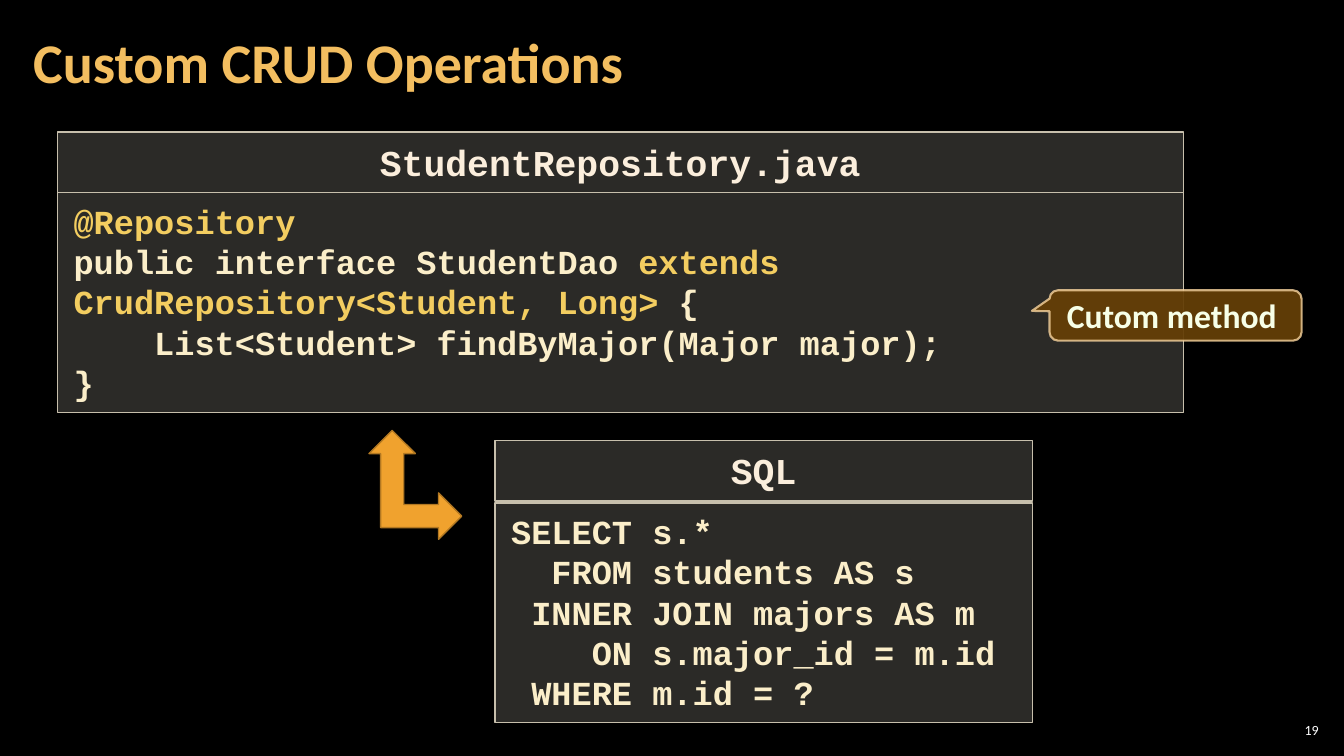
from pptx import Presentation
from pptx.dml.color import RGBColor
from pptx.enum.shapes import MSO_SHAPE
from pptx.enum.text import MSO_ANCHOR, PP_ALIGN
from pptx.oxml.ns import qn
from pptx.util import Inches, Pt
from lxml.etree import SubElement

HUES = {
    "back": "000000", "page": "FFFFFF", "title": "F3BE60",
    "panel": "D9D5C7", "edge": "C7BFAC", "head": "FBEEDC",
    "code": "FBEEC9", "key": "F3CD60",
    "note": "643F07", "rim": "F8D49E", "label": "F7FFE7",
    "arrow": "F0A22E", "trim": "B27822",
}
MONO, SANS = "Courier New", "Calibri"
TITLE = "Custom CRUD Operations"
NOTE = "Cutom method "
PAGE = "19"
CARDS = [
    {"at": (0.57, 1.31), "wide": 11.17, "body": 1.91,
     "head": "StudentRepository.java",
     "code": [
         (0, [("@Repository", "key")]),
         (0, [("public interface StudentDao ", "code"),
              ("extends CrudRepository<Student, Long> ", "key"),
              ("{", "code")]),
         (4, [("List<Student> findByMajor(Major major);", "code")]),
         (0, [("}", "code")]),
     ]},
    {"at": (4.91, 4.37), "wide": 5.33, "body": 4.99,
     "head": "SQL",
     "code": [
         (0, [("SELECT s.*", "code")]),
         (2, [("FROM students AS s", "code")]),
         (1, [("INNER JOIN majors AS m", "code")]),
         (4, [("ON s.major_id = m.id", "code")]),
         (1, [("WHERE m.id = ?", "code")]),
     ]},
]
HEAD, BODY = 0.6, 2.18
CHAR = 0.2


def rgb(hue):
    return RGBColor.from_string(HUES[hue])


def fade(fill, part):
    tint = fill._xPr.find(qn("a:solidFill"))[0]
    SubElement(tint, qn("a:alpha")).set("val", str(part * 1000))


def write(shape, rows, size, font, align, pad, anchor, pitch=1.0, bold=True):
    frame = shape.text_frame
    frame.word_wrap = True
    frame.vertical_anchor = anchor
    frame.margin_left = frame.margin_right = Inches(pad[0])
    frame.margin_top = frame.margin_bottom = Inches(pad[1])
    for num, (dent, runs) in enumerate(rows):
        para = frame.add_paragraph() if num else frame.paragraphs[0]
        para.alignment = align
        para.line_spacing = pitch
        if dent:
            para._p.get_or_add_pPr().set("marL", str(Inches(dent * CHAR)))
        for text, hue in runs:
            run = para.add_run()
            run.text = text
            run.font.size = Pt(size)
            run.font.name = font
            run.font.bold = bold
            run.font.color.rgb = rgb(hue)


def draw(kind, box, fill, line, width=1):
    shape = slide.shapes.add_shape(kind, *map(Inches, box))
    shape.shadow.inherit = False
    shape.fill.solid()
    shape.fill.fore_color.rgb = rgb(fill)
    shape.line.color.rgb = rgb(line)
    shape.line.width = Pt(width)
    return shape


def label(box, text, size, hue, align, pad, pitch=1.0, bold=True):
    shape = slide.shapes.add_textbox(*map(Inches, box))
    write(shape, [(0, [(text, hue)])], size, SANS, align, pad,
          MSO_ANCHOR.MIDDLE, pitch, bold)


def panel(box, rows, size, align):
    shape = draw(MSO_SHAPE.RECTANGLE, box, "panel", "edge")
    fade(shape.fill, 20)
    write(shape, rows, size, MONO, align, (0.16, 0.08), MSO_ANCHOR.TOP)


deck = Presentation()
deck.slide_width, deck.slide_height = Inches(13.33), Inches(7.5)
slide = deck.slides.add_slide(deck.slide_layouts[6])
slide.background.fill.solid()
slide.background.fill.fore_color.rgb = rgb("back")

label((12.65, 7.14, 0.47, 0.21), PAGE, 10, "page", PP_ALIGN.RIGHT,
      (0.04, 0.04), bold=False)
label((0.21, 0.04, 10.47, 1.21), TITLE, 40, "title", PP_ALIGN.LEFT,
      (0.12, 0.04), 0.9)

for card in CARDS:
    left, top = card["at"]
    wide = card["wide"]
    panel((left, card["body"], wide, BODY), card["code"], 24, PP_ALIGN.LEFT)
    panel((left, top, wide, HEAD), [(0, [(card["head"], "head")])], 26,
          PP_ALIGN.CENTER)

note = draw(MSO_SHAPE.ROUNDED_RECTANGULAR_CALLOUT, (10.41, 2.88, 2.5, 0.5),
            "note", "rim", 1.5)
for num, value in enumerate((-0.57, -0.09, 0.17)):
    note.adjustments[num] = value
fade(note.fill, 95)
fade(note.line.fill, 80)
write(note, [(0, [(NOTE, "label")])], 24, SANS, PP_ALIGN.CENTER, (0.1, 0.05),
      MSO_ANCHOR.MIDDLE)

arrow = draw(MSO_SHAPE.LEFT_UP_ARROW, (3.66, 4.27, 0.92, 1.08), "arrow", "trim")
arrow._element.spPr.find(qn("a:xfrm")).set("flipH", "1")

deck.save("out.pptx")
